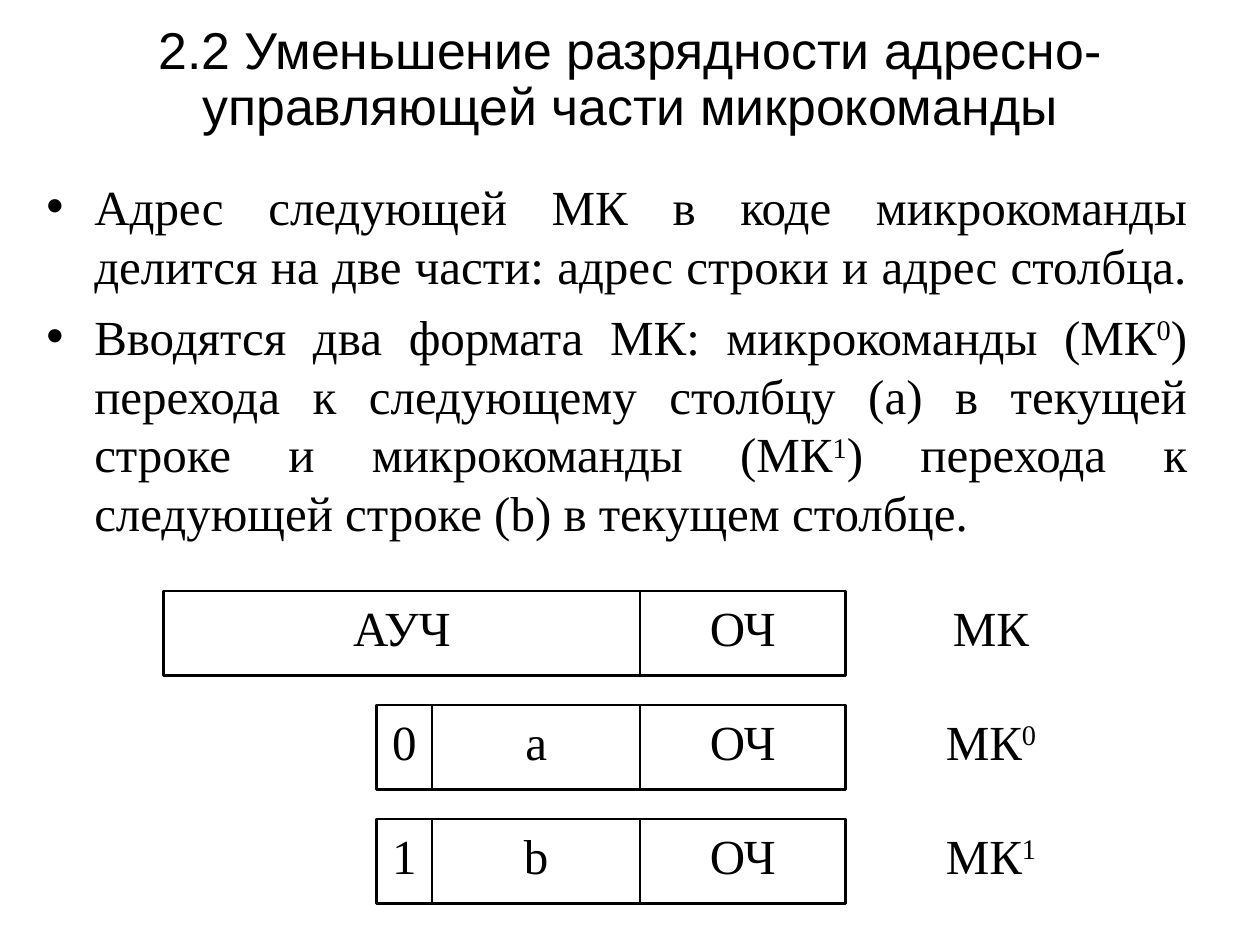
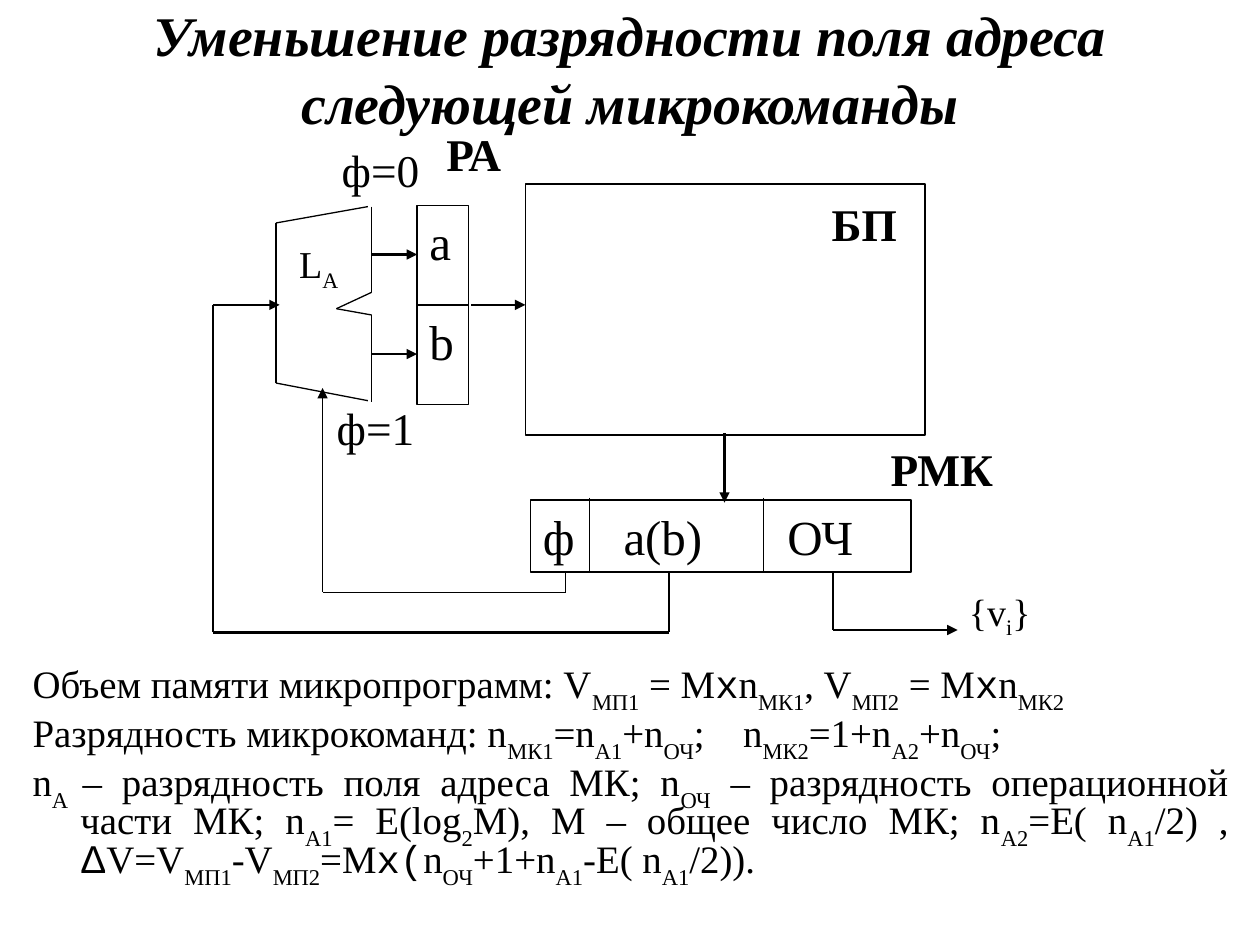
import itertools
from dataclasses import dataclass

import pptx
import pptx.dml.color
import pptx.enum.shapes
import pptx.enum.text
import pptx.oxml.ns
import pptx.util
from lxml import etree

Inches = pptx.util.Inches
Pt = pptx.util.Pt
ALIGN = pptx.enum.text.PP_ALIGN
ANCHOR = pptx.enum.text.MSO_ANCHOR
BLACK = "000000"
SERIF = "Times New Roman"
SANS = "Arial"
MONO = "Courier New"


def color(value):
    return pptx.dml.color.RGBColor.from_string(value)


def add_xml(parent, tag, **attributes):
    return etree.SubElement(parent, pptx.oxml.ns.qn(tag), attributes)


@dataclass
class Run:
    text: str
    shift: int = 0
    font: str = ""


def sup(text):
    return Run(text, 30)


def sub(text, shift=-30):
    return Run(text, shift)


def mono(text):
    return Run(text, font=MONO)


class Deck:
    def __init__(self):
        self.presentation = pptx.Presentation()
        self.presentation.slide_width = Inches(10)
        self.presentation.slide_height = Inches(7.5)
        self.font = SERIF
        self.ink = color(BLACK)
        self.slide = None

    def new_slide(self):
        self.slide = self.presentation.slides.add_slide(self.presentation.slide_layouts[6])

    def set_text(self, shape, paragraphs, size, align=ALIGN.CENTER, anchor=ANCHOR.TOP, font="",
                 bold=None, italic=None, spacing=None, before=0, hangs=(), bullet="", tabs=()):
        frame = shape.text_frame
        frame.word_wrap = True
        frame.vertical_anchor = anchor
        for index, runs in enumerate(paragraphs):
            paragraph = frame.add_paragraph() if index else frame.paragraphs[0]
            properties = paragraph._p.get_or_add_pPr()
            if index < len(hangs) and hangs[index]:
                properties.set("marL", str(Inches(hangs[index])))
                properties.set("indent", str(-Inches(hangs[index])))
            if bullet:
                add_xml(properties, "a:buFont", typeface=SANS)
                add_xml(properties, "a:buChar", char=bullet)
            if tabs:
                stops = add_xml(properties, "a:tabLst")
                for stop in tabs:
                    add_xml(stops, "a:tab", pos=str(Inches(stop)), algn="l")
            paragraph.alignment = align
            if spacing:
                paragraph.line_spacing = spacing
            if index:
                paragraph.space_before = Pt(before)
            for item in runs:
                part = Run(item) if isinstance(item, str) else item
                run = paragraph.add_run()
                run.text = part.text
                run.font.name = part.font or font or self.font
                run.font.size = Pt(size)
                run.font.bold = bold
                run.font.italic = italic
                run.font.color.rgb = self.ink
                if part.shift:
                    run._r.get_or_add_rPr().set("baseline", str(part.shift * 1000))

    def text(self, left, top, width, height, paragraphs, size, **style):
        shape = self.slide.shapes.add_textbox(*map(Inches, (left, top, width, height)))
        self.set_text(shape, paragraphs, size, **style)

    def box(self, left, top, width, height, runs=(), weight=1, **style):
        shape = self.slide.shapes.add_shape(
            pptx.enum.shapes.MSO_SHAPE.RECTANGLE, *map(Inches, (left, top, width, height)))
        shape.shadow.inherit = False
        shape.fill.background()
        shape.line.color.rgb = self.ink
        shape.line.width = Pt(weight)
        if runs:
            self.set_text(shape, [runs], 28, **style)

    def route(self, *points, weight=1.5, arrow=False):
        legs = list(itertools.pairwise(points))
        for index, (start, end) in enumerate(legs):
            line = self.slide.shapes.add_connector(
                pptx.enum.shapes.MSO_CONNECTOR.STRAIGHT, *map(Inches, start + end))
            line.line.color.rgb = self.ink
            line.line.width = Pt(weight)
            if arrow and index == len(legs) - 1:
                add_xml(line.line._get_or_add_ln(), "a:tailEnd", type="triangle")
            add_xml(line._element.spPr, "a:effectLst")


def build_formats(deck):
    deck.new_slide()
    deck.text(0.2, 0.09, 9.61, 1.1,
              [["2.2 Уменьшение разрядности адресно-управляющей части микрокоманды"]],
              29.6, font=SANS, anchor=ANCHOR.MIDDLE, spacing=0.9)
    deck.text(0.27, 1.35, 9.25, 3.07, [
        ["Адрес следующей МК в коде микрокоманды делится на две части: "
         "адрес строки и адрес столбца. "],
        ["Вводятся два формата МК: микрокоманды (МК", sup("0"),
         ") перехода к следующему столбцу (a) в текущей строке и микрокоманды (МК", sup("1"),
         ") перехода к следующей строке (b) в текущем столбце."],
    ], 28, align=ALIGN.JUSTIFY, before=7, hangs=(0.38, 0.38), bullet="•")

    height = 0.67
    formats = [
        ([(1.3, 3.78, "АУЧ")], ["МК"]),
        ([(2.99, 0.44, "0"), (3.43, 1.65, "a")], ["МК", sup("0")]),
        ([(2.99, 0.44, "1"), (3.43, 1.65, "b")], ["МК", sup("1")]),
    ]
    for row, (fields, name) in enumerate(formats):
        top = 4.69 + row * 0.905
        for left, width, label in fields + [(5.08, 1.63, "ОЧ")]:
            deck.box(left, top, width, height, [label], weight=1.5)
        deck.text(6.75, top, 2.23, height, [name], 28)


def build_scheme(deck):
    deck.new_slide()
    deck.text(0.75, 0.05, 8.5, 0.98,
              [["Уменьшение разрядности поля адреса следующей микрокоманды"]],
              32, anchor=ANCHOR.MIDDLE, bold=True, italic=True)
    deck.text(0.16, 5.25, 9.69, 1.93, [
        ["Объем памяти микропрограмм: V", sub("МП1"), " = М", mono("х"), "n", sub("МК1"),
         ", V", sub("МП2"), " = М", mono("х"), "n", sub("МК2")],
        ["Разрядность микрокоманд: n", sub("МК1"), "=n", sub("A1"),
         "+n", sub("ОЧ"), ";\tn", sub("МК2"), "=1+n", sub("A2"), "+n", sub("ОЧ"), ";"],
        ["n", sub("A "), "– разрядность поля адреса МК; n", sub("ОЧ"),
         " – разрядность операционной части МК; n", sub("A1"), "= E(log", sub("2"),
         "M), M – общее число МК; n", sub("A2"), "=E( n", sub("A1"), "/2) , ",
         Run("Δ", font=SANS), "V=V", sub("МП1"), "-V", sub("МП2"), "=М", mono("х("), "n",
         sub("ОЧ"), "+1+n", sub("A1"), "-E( n", sub("A1"), "/2))."],
    ], 22.2, align=ALIGN.JUSTIFY, spacing=0.7, before=6, hangs=(0, 0, 0.38), tabs=(5.64,))

    for top, label in ((1.63, "a"), (2.42, "b")):
        deck.box(3.31, top, 0.41, 0.79, [label], align=ALIGN.LEFT)
        deck.route((2.95, top + 0.39), (3.31, top + 0.39), arrow=True)
    deck.box(4.17, 1.46, 3.17, 1.99)
    deck.box(4.21, 3.97, 3.02, 0.57, ["ф\ta(b)\tОЧ"], align=ALIGN.LEFT, tabs=(0.64, 1.94))
    for divider in (4.68, 6.06):
        deck.route((divider, 3.95), (divider, 4.54), weight=0.75)

    deck.route((2.92, 1.64), (2.19, 1.77), (2.19, 3.04), (2.92, 3.18), weight=0.75)
    deck.route((2.95, 1.64), (2.95, 2.32), (2.67, 2.45), (2.95, 2.5), (2.95, 3.19), weight=0.75)
    deck.route((3.74, 2.42), (4.17, 2.42), arrow=True)
    deck.route((5.75, 3.44), (5.75, 3.99), arrow=True)
    deck.route((4.49, 4.54), (4.49, 4.7), (2.56, 4.7), (2.56, 3.08), weight=0.75, arrow=True)
    deck.route((5.31, 4.54), (5.31, 5.02), (1.69, 5.02), (1.69, 2.42), (2.22, 2.42), arrow=True)
    deck.route((6.61, 4.54), (6.61, 5), (7.6, 5), arrow=True)

    labels = [
        (6.69, 3.45, 1.57, ["РМК"], 25.9, True),
        (6.38, 1.51, 0.96, ["БП"], 25.9, True),
        (3.27, 0.95, 0.98, ["РА"], 25.9, True),
        (2.53, 1.08, 0.98, ["ф=0"], 25.9, False),
        (2.49, 3.13, 0.98, ["ф=1"], 25.9, False),
        (2.01, 1.86, 1.04, ["L", sub("A", -25)], 21.7, False),
        (7.2, 4.62, 1.47, ["{v", sub("i", -25), "}"], 21.7, False),
    ]
    for left, top, width, runs, size, bold in labels:
        deck.text(left, top, width, 0.54, [runs], size, bold=bold)


def main():
    deck = Deck()
    build_formats(deck)
    build_scheme(deck)
    deck.presentation.save("out.pptx")


if __name__ == "__main__":
    main()
